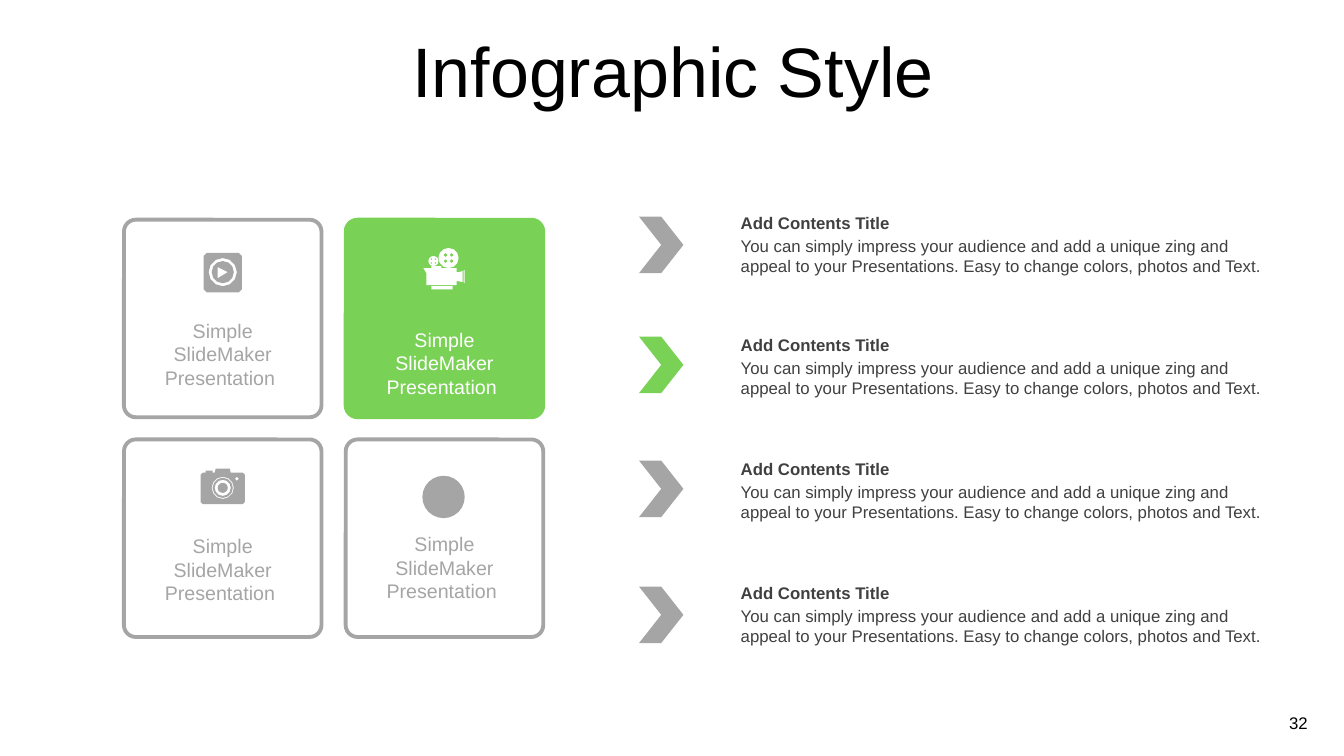
import math
from pptx import Presentation
from pptx import util as u
from pptx.dml import color
from pptx.enum import shapes, text

GRAY, GREEN, WHITE, DARK, BLACK = "A5A5A5", "79D155", "FFFFFF", "404040", "000000"
CARD = 1.96
CARD_TEXT = "Simple SlideMaker Presentation "
BODY = ("You can simply impress your audience and add a unique zing and "
        "appeal to your Presentations. Easy to change colors, photos and Text.")
CENTER = {"alignment": text.PP_ALIGN.CENTER}
GROW = {"auto_size": text.MSO_AUTO_SIZE.SHAPE_TO_FIT_TEXT}


def rgb(value):
    return color.RGBColor.from_string(value)


def apply(target, values):
    for name, value in values.items():
        setattr(target, name, value)


def add_text(parent, box, words, size, ink, frame=GROW, para=None, bold=False):
    sp = parent.shapes.add_textbox(*map(u.Inches, box))
    tf = sp.text_frame
    apply(tf, {"word_wrap": True, **frame})
    p = tf.paragraphs[0]
    apply(p, para or {})
    r = p.add_run()
    r.text = words
    apply(r.font, {"name": "Arial", "size": u.Pt(size), "bold": bold})
    r.font.color.rgb = rgb(ink)


def paint(sp, fill, line=None):
    sp.shadow.inherit = False
    sp.fill.solid()
    sp.fill.fore_color.rgb = rgb(fill)
    if line:
        sp.line.color.rgb = rgb(line)
        sp.line.width = u.Pt(2.75)
    else:
        sp.line.fill.background()


def add_preset(s, kind, box, fill, line=None):
    sp = s.shapes.add_shape(kind, *map(u.Inches, box))
    paint(sp, fill, line)
    return sp


def circle(cx, cy, radius, count=12):
    angles = [2 * math.pi * i / count for i in range(count)]
    return [(cx + radius * math.cos(a), cy + radius * math.sin(a)) for a in angles]


def add_icon(s, fill, *outlines):
    builder = None
    for outline in outlines:
        points = [(u.Inches(x), u.Inches(y)) for x, y in outline]
        if builder:
            builder.move_to(*points[0])
        else:
            builder = s.shapes.build_freeform(*points[0])
        builder.add_line_segments(points[1:], close=True)
    paint(builder.convert_to_shape(), fill)


def add_play(s):
    frame = [(2.05, 2.51), (2.37, 2.51), (2.4, 2.54), (2.4, 2.87),
             (2.37, 2.9), (2.05, 2.9), (2.02, 2.87), (2.02, 2.54)]
    add_icon(s, GRAY, frame, circle(2.21, 2.7, 0.14), circle(2.21, 2.7, 0.11),
             [(2.16, 2.65), (2.26, 2.7), (2.16, 2.76)])


def add_film_camera(s):
    reels = []
    for cx, cy, radius, offset, hole in ((4.45, 2.56, 0.1, 0.03, 0.02),
                                         (4.3, 2.59, 0.05, 0.02, 0.01)):
        reels.append(circle(cx, cy, radius))
        reels += [circle(cx + dx, cy + dy, hole, 4)
                  for dx in (-offset, offset) for dy in (-offset, offset)]
    body = [(4.2, 2.66), (4.28, 2.66), (4.28, 2.64), (4.38, 2.64), (4.38, 2.66),
            (4.53, 2.66), (4.53, 2.7), (4.55, 2.7), (4.59, 2.69), (4.59, 2.8),
            (4.55, 2.79), (4.53, 2.79), (4.53, 2.83), (4.23, 2.83), (4.23, 2.71)]
    hood = [(4.6, 2.68), (4.61, 2.68), (4.61, 2.81), (4.6, 2.8)]
    base = [(4.28, 2.84), (4.49, 2.84), (4.49, 2.87), (4.28, 2.87)]
    add_icon(s, WHITE, body, hood, base, *reels)


def add_photo_camera(s):
    body = [(2.14, 4.65), (2.28, 4.65), (2.29, 4.69), (2.41, 4.69), (2.43, 4.71),
            (2.43, 4.98), (2.41, 5), (2.01, 5), (1.99, 4.98), (1.99, 4.71),
            (2.01, 4.69), (2.04, 4.69), (2.04, 4.67), (2.11, 4.67), (2.11, 4.69),
            (2.13, 4.69)]
    rings = [circle(2.21, 4.84, radius) for radius in (0.11, 0.1, 0.08, 0.05)]
    add_icon(s, GRAY, body, *rings, circle(2.35, 4.75, 0.02, 4))


def add_card(s, column, row, label_top, active):
    left, top = 1.23 + 2.2 * column, 2.18 + 2.18 * row
    fill, line, ink = (GREEN, GREEN, WHITE) if active else (WHITE, GRAY, GRAY)
    sp = add_preset(s, shapes.MSO_SHAPE.ROUNDED_RECTANGLE,
                    (left, top, CARD, CARD), fill, line)
    sp.adjustments[0] = 0.06
    add_text(s, (left + 0.23, label_top, 1.5, 0.81), CARD_TEXT, 14, ink, para=CENTER)


def add_entry(s, chevron_top, title_top, fill):
    add_preset(s, shapes.MSO_SHAPE.CHEVRON, (6.34, chevron_top, 0.44, 0.56), fill)
    group = s.shapes.add_group_shape()
    add_text(group, (7.25, title_top + 0.23, 5.39, 0.5), BODY, 12, DARK)
    add_text(group, (7.25, title_top, 5.39, 0.3), "Add Contents Title", 12, DARK,
             bold=True)


def main():
    prs = Presentation()
    apply(prs, {"slide_width": u.Inches(40 / 3), "slide_height": u.Inches(7.5)})
    s = prs.slides.add_slide(prs.slide_layouts[6])
    add_text(s, (12.69, 7.02, 0.41, 0.3), "32", 12, BLACK, {**GROW, "word_wrap": False})
    add_text(s, (0.35, 0.37, 12.66, 0.79), "Infographic Style", 50, BLACK,
             {"vertical_anchor": text.MSO_ANCHOR.MIDDLE, "margin_top": u.Inches(0.1)},
             {**CENTER, "line_spacing": 0.7, "space_before": u.Pt(10)})
    for column, row, label_top in ((0, 0, 3.11), (1, 0, 3.2), (0, 1, 5.25), (1, 1, 5.23)):
        add_card(s, column, row, label_top, (column, row) == (1, 0))
    add_play(s)
    add_preset(s, shapes.MSO_SHAPE.OVAL, (4.19, 4.72, 0.42, 0.42), GRAY)
    add_film_camera(s)
    add_photo_camera(s)
    for chevron_top, title_top, fill in ((2.15, 2.06, GRAY), (3.34, 3.27, GREEN),
                                         (4.57, 4.5, GRAY), (5.82, 5.73, GRAY)):
        add_entry(s, chevron_top, title_top, fill)
    prs.save("out.pptx")


if __name__ == "__main__":
    main()
